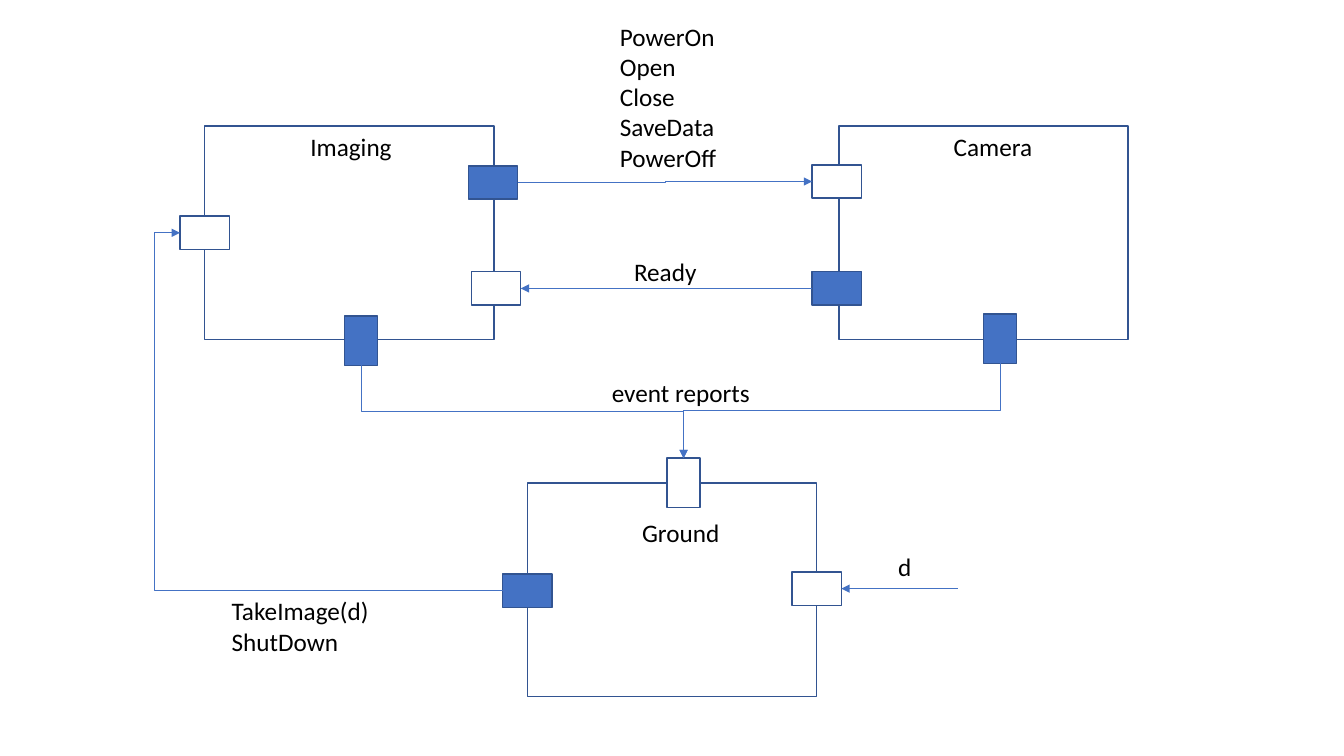
from dataclasses import dataclass

from pptx import Presentation, util as u
from pptx.dml.color import RGBColor
from pptx.enum import shapes, text
from pptx.oxml.ns import qn
from lxml import etree

# Lengths are columns and rows of a fine grid, 750 rows to the slide's height.
COLS, ROWS = 1333, 750
CELL = u.Inches(7.5) // ROWS
MODULE_W, MODULE_H = 287, 212
PORT_W, PORT_H = 49, 33

MODULES = {"Imaging": (203, 125), "Camera": (832, 125), "Ground": (523, 479)}

# name: module, side, share along that side, sends, nudge
PORTS = {
    "image request in": ("Imaging", "left", 0.50, False, (0, 0)),
    "ready in": ("Imaging", "right", 0.76, False, (2, 0)),
    "commands out": ("Imaging", "right", 0.26, True, (-1, 1)),
    "imaging events": ("Imaging", "bottom", 0.54, True, (0, 1)),
    "commands in": ("Camera", "left", 0.26, False, (-2, 0)),
    "ready out": ("Camera", "left", 0.76, True, (-2, 0)),
    "camera events": ("Camera", "bottom", 0.56, True, (-1, -1)),
    "image request out": ("Ground", "left", 0.50, True, (0, 1)),
    "events in": ("Ground", "top", 0.54, False, (0, 0)),
    "d in": ("Ground", "right", 0.50, False, (0, -1)),
}

# from, to, rotation, flip, columns the bend lies beyond the end
ELBOWS = [
    ("commands out", "commands in", 0, "flipV", 0),
    ("imaging events", "events in", 270, "flipH", 0),
    ("camera events", "events in", 90, None, 0),
    ("image request out", "image request in", 180, None, 25),
]
D_START = 950

# lines of text, left, top, width, height
LABELS = [
    (["Imaging"], 298, 125, 102, 40),
    (["Camera"], 936, 125, 99, 40),
    (["Ground"], 627, 508, 98, 40),
    (["TakeImage(d)", "ShutDown"], 220, 586, 163, 71),
    (["event reports"], 597, 369, 158, 40),
    (["d"], 881, 542, 34, 40),
    (["Ready"], 619, 249, 83, 40),
    (["PowerOn", "Open", "Close", "SaveData", "PowerOff"], 605, 16, 117, 162),
]


@dataclass(frozen=True)
class Theme:
    blue: RGBColor = RGBColor.from_string("4472C4")
    edge: RGBColor = RGBColor.from_string("325491")
    white: RGBColor = RGBColor.from_string("FFFFFF")
    ink: RGBColor = RGBColor.from_string("000000")
    font: str = "Calibri"
    size: int = u.Pt(18)
    border: int = u.Pt(1)
    wire: int = u.Pt(0.5)


THEME = Theme()
OUTWARD = {"left": (-1, 0), "right": (1, 0), "top": (0, -1), "bottom": (0, 1)}


def cells(*values):
    return [round(v * CELL) for v in values]


def add_box(s, x, y, w, h, fill, rotation=0):
    sp = s.shapes.add_shape(shapes.MSO_SHAPE.RECTANGLE, *cells(x, y, w, h))
    sp.shadow.inherit = False
    sp.fill.solid()
    sp.fill.fore_color.rgb = fill
    sp.line.color.rgb = THEME.edge
    sp.line.width = THEME.border
    sp.rotation = rotation


def port_centre(name):
    module, side, share, _, (dx, dy) = PORTS[name]
    left, top = MODULES[module]
    ox, oy = OUTWARD[side]
    x = left + MODULE_W * ((1 + ox) / 2 if ox else share) + dx
    y = top + MODULE_H * ((1 + oy) / 2 if oy else share) + dy
    return x, y


def port_tip(name):
    """Middle of the port's edge that faces away from its module."""
    x, y = port_centre(name)
    ox, oy = OUTWARD[PORTS[name][1]]
    return x + ox * PORT_W / 2, y + oy * PORT_W / 2


def add_wire(s, kind, start, end):
    c = s.shapes.add_connector(kind, *cells(*start, *end))
    c.line.color.rgb = THEME.blue
    c.line.width = THEME.wire
    ln = c.line._get_or_add_ln()
    etree.SubElement(ln, qn("a:tailEnd")).set("type", "triangle")
    etree.SubElement(c._element.spPr, qn("a:effectLst"))
    return c


def add_elbow(s, start, end, rotation, flip, beyond):
    """Place an unturned frame around the middle, then turn and flip it."""
    (x1, y1), (x2, y2) = start, end
    w, h = abs(x2 - x1), abs(y2 - y1)
    bend = round(100000 * (1 + beyond / w)) if beyond else 50000
    if rotation % 180:
        w, h = h, w
    x, y = (x1 + x2 - w) / 2, (y1 + y2 - h) / 2
    c = add_wire(s, shapes.MSO_CONNECTOR.ELBOW, (x, y), (x + w, y + h))
    xfrm = c._element.spPr.find(qn("a:xfrm"))
    if rotation:
        xfrm.set("rot", str(rotation * 60000))
    if flip:
        xfrm.set(flip, "1")
    geom = c._element.spPr.find(qn("a:prstGeom"))
    guides = geom.find(qn("a:avLst"))
    if guides is None:
        guides = etree.SubElement(geom, qn("a:avLst"))
    guide = etree.SubElement(guides, qn("a:gd"))
    guide.set("name", "adj1")
    guide.set("fmla", f"val {bend}")


def add_label(s, lines, *place):
    tf = s.shapes.add_textbox(*cells(*place)).text_frame
    tf.word_wrap = False
    tf.auto_size = text.MSO_AUTO_SIZE.SHAPE_TO_FIT_TEXT
    for i, line in enumerate(lines):
        p = tf.paragraphs[0] if i == 0 else tf.add_paragraph()
        r = p.add_run()
        r.text = line
        for key, value in {"name": THEME.font, "size": THEME.size}.items():
            setattr(r.font, key, value)
        r.font.color.rgb = THEME.ink


def main():
    prs = Presentation()
    prs.slide_width, prs.slide_height = cells(COLS, ROWS)
    s = prs.slides.add_slide(prs.slide_layouts[6])

    for left, top in MODULES.values():
        add_box(s, left, top, MODULE_W, MODULE_H, THEME.white)
    for name, (_, side, _, sends, _) in PORTS.items():
        x, y = port_centre(name)
        add_box(s, x - PORT_W / 2, y - PORT_H / 2, PORT_W, PORT_H,
                THEME.blue if sends else THEME.white,
                270 if side in ("top", "bottom") else 0)

    for start, end, *turn in ELBOWS:
        add_elbow(s, port_tip(start), port_tip(end), *turn)
    d_end = port_tip("d in")
    for start, end in [(port_tip("ready out"), port_tip("ready in")),
                       ((D_START, d_end[1]), d_end)]:
        add_wire(s, shapes.MSO_CONNECTOR.STRAIGHT, start, end)

    for label in LABELS:
        add_label(s, *label)
    prs.save("out.pptx")


if __name__ == "__main__":
    main()
